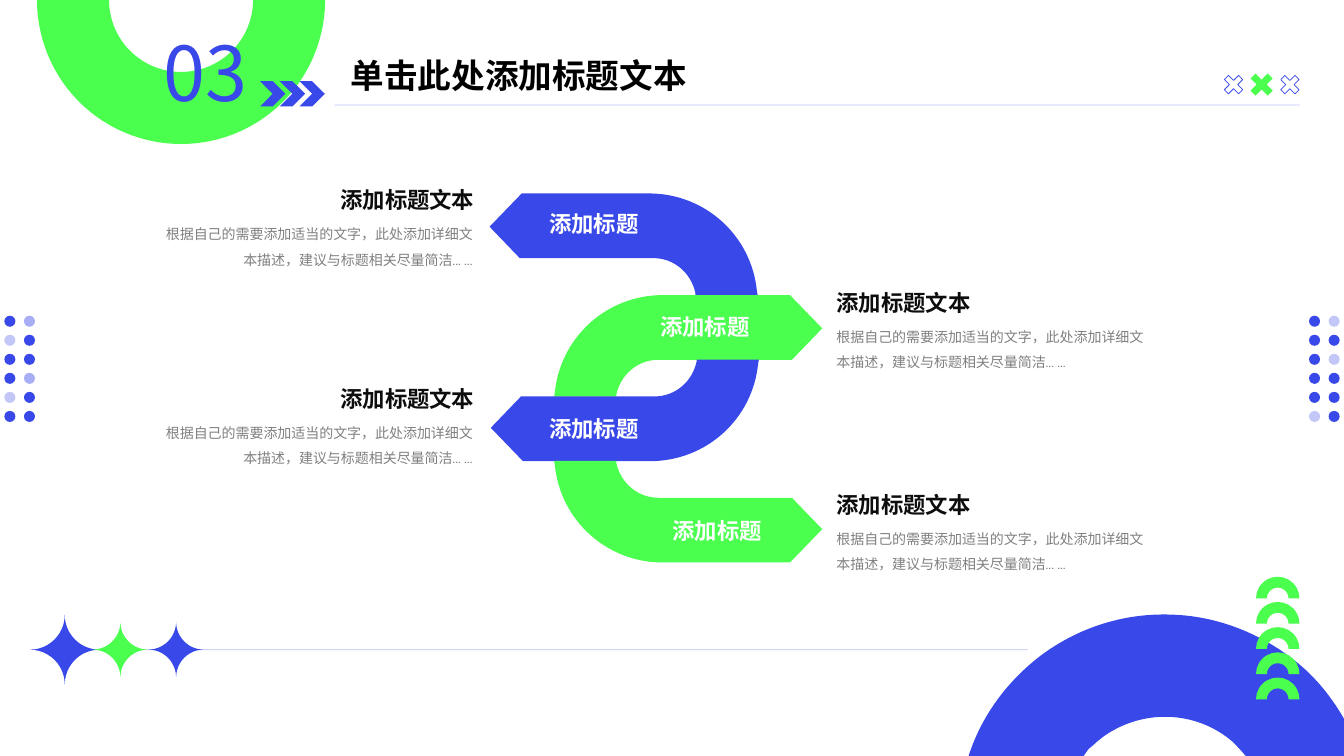
from pptx import Presentation
from pptx.util import Pt
from pptx.dml.color import RGBColor
from pptx.enum import shapes, text
from pptx.oxml.ns import qn
from lxml import etree

BLUE = RGBColor(0x39, 0x48, 0xE9)
GREEN = RGBColor(0x4A, 0xFF, 0x4E)
BLACK = RGBColor(0, 0, 0)
INK = RGBColor(0x0D, 0x0D, 0x0D)
GREY = RGBColor(0x80, 0x80, 0x80)
WHITE = RGBColor(0xFF, 0xFF, 0xFF)
SC, JP, CABIN = "Noto Sans CJK SC", "Noto Sans CJK JP", "Cabin"

# Content
NUMBER = "03"
TITLE = "单击此处添加标题文本"
BODY = "根据自己的需要添加适当的文字，此处添加详细文本描述，建议与标题相关尽量简洁... ..."
# label, heading, side, label (x, y), heading y, arrow tip x, outer edge y, vertical flip
STEPS = [
    ("添加标题", "添加标题文本", "left", (385.2, 146.9), 129.6, 349.7, 138.2, 1),
    ("添加标题", "添加标题文本", "right", (464.6, 220), 203, 587.3, 210.8, 1),
    ("添加标题", "添加标题文本", "left", (385.2, 293), 271.6, 350.6, 329.4, -1),
    ("添加标题", "添加标题文本", "right", (473.4, 365.8), 347, 587.3, 401.8, -1),
]
# Opacity of the dot pairs, row by row, and left edge of each block
DOTS = [
    (3.1, [(100, 44), (30, 100), (100, 100), (100, 44), (30, 100), (100, 100)]),
    (935, [(100, 30), (100, 100), (100, 30), (100, 100), (100, 100), (30, 100)]),
]
PLUSES = [(873.9, 53.3, 14.4, None), (892.5, 51.8, 17.3, GREEN), (914.2, 53.3, 14.4, None)]
STARS = [(21.4, 439.2, 49.7, BLUE), (106, 444.2, 39.6, BLUE), (66.2, 444.2, 39.6, GREEN)]
RULES = [(239, 928.4, 75), (34.6, 734, 464.1)]

# Outlines: one point is a straight step, three points are a curve
BAND = [
    [(23, 0)], [(113.8, 0)],
    [(154, 0), (187.2, 30.2), (191, 70)],
    [(191.5, 72.5)], [(147, 72.5)], [(147, 71)],
    [(144, 57), (132, 46.2), (117, 46.2)],
    [(21.6, 46.2)], [(0, 23.8)],
]
CORNER_RING = [
    [(836.6, 439)],
    [(869, 439.9), (901.4, 452.2), (928.1, 474.5)],
    [(941, 485.3), (951.8, 499), (960, 513.4)],
    [(960, 540)], [(889.9, 540)], [(889.2, 539.3)],
    [(886.3, 535.7), (883.4, 532.8), (880.6, 529.9)],
    [(853.9, 506.9), (815, 506.2), (787, 527)],
    [(784.1, 529.2), (781.2, 532.1), (777.6, 535)],
    [(774, 540)], [(691.9, 540)], [(692.6, 537.8)],
    [(702, 510.5), (719.3, 486.7), (743.8, 468)],
    [(771.1, 447.8), (803.5, 437.8), (836.6, 439)],
]

prs = Presentation()
prs.slide_width, prs.slide_height = Pt(960), Pt(540)
s = prs.slides.add_slide(prs.slide_layouts[6])


def set_alpha(fill_parent, percent):
    color = fill_parent.find(".//" + qn("a:srgbClr"))
    etree.SubElement(color, qn("a:alpha")).set("val", str(percent * 1000))


def paint(sp, color):
    sp.shadow.inherit = False
    if color is None:
        sp.fill.background()
        sp.line.color.rgb = BLUE
        sp.line.width = Pt(0.5)
    else:
        sp.fill.solid()
        sp.fill.fore_color.rgb = color
        sp.line.fill.background()


def preset(kind, x, y, size, color, rotation=0, adj=None):
    sp = s.shapes.add_shape(kind, Pt(x), Pt(y), Pt(size), Pt(size))
    paint(sp, color)
    sp.rotation = rotation
    if adj is not None:
        sp.adjustments[0] = adj
    return sp


def outline(steps, color):
    points = [(x * 100, y * 100) for step in steps for x, y in step]
    builder = s.shapes.build_freeform(*points[0], scale=127.0)
    builder.add_line_segments(points[1:], close=True)
    sp = builder.convert_to_shape()
    paint(sp, color)
    # Merge three straight steps into one curve
    segments = iter(list(sp._element.iter(qn("a:lnTo"))))
    for step in steps[1:]:
        parts = [next(segments) for _ in step]
        if len(parts) == 3:
            curve = etree.Element(qn("a:cubicBezTo"))
            parts[0].addprevious(curve)
            for part in parts:
                curve.append(part[0])
                part.getparent().remove(part)


def write(words, x, y, w, h, size, color, font, bold=False, wrap=True, right=False, spacing=None):
    tf = s.shapes.add_textbox(Pt(x), Pt(y), Pt(w), Pt(h)).text_frame
    tf.word_wrap = wrap
    tf.auto_size = text.MSO_AUTO_SIZE.SHAPE_TO_FIT_TEXT
    p = tf.paragraphs[0]
    p.alignment = text.PP_ALIGN.RIGHT if right else text.PP_ALIGN.LEFT
    if spacing:
        p.line_spacing = spacing
    r = p.add_run()
    r.text = words
    for name, value in {"size": Pt(size), "bold": bold, "name": font}.items():
        setattr(r.font, name, value)
    r.font.color.rgb = color
    east_asian = SC if font == CABIN else font
    etree.SubElement(r.font._element, qn("a:ea")).set("typeface", east_asian)


# Large corner rings
shape = shapes.MSO_SHAPE
outline(CORNER_RING, BLUE)
preset(shape.BLOCK_ARC, 26.4, -103, 205.8, GREEN, rotation=180)

# Small arcs and chevrons
for i in range(5):
    preset(shape.BLOCK_ARC, 897.2, 412 + 18 * i, 31, GREEN)
for i in range(3):
    preset(shape.CHEVRON, 185.8 + 14.1 * i, 58, 18, BLUE)

# Dot blocks at both edges
for left, rows in DOTS:
    for i, pair in enumerate(rows):
        for j, opacity in enumerate(pair):
            dot = preset(shape.OVAL, left + 14 * j, 225.5 + 13.6 * i, 7.9, BLUE)
            if opacity < 100:
                set_alpha(dot.fill._xPr, opacity)

# Crosses, rules and stars
for x, y, size, color in PLUSES:
    preset(shape.CROSS, x, y, size, color, rotation=45, adj=0.356)
for x1, x2, y in RULES:
    rule = s.shapes.add_connector(shapes.MSO_CONNECTOR.STRAIGHT, Pt(x1), Pt(y), Pt(x2), Pt(y))
    rule.line.color.rgb = BLUE
    rule.line.width = Pt(0.5)
    set_alpha(rule.line._ln, 33)
    etree.SubElement(rule._element.spPr, qn("a:effectLst"))
for x, y, size, color in STARS:
    preset(shape.PLAQUE, x, y, size, color, adj=0.5)

# Heading
write(NUMBER, 109.7, 15.1, 79.2, 72.7, 54, BLUE, SC, wrap=False)
write(TITLE, 243.4, 35.6, 285.8, 36, 24, BLACK, CABIN, bold=True)

# Ribbons with their labels; the band is measured from its arrow tip
for label, _, side, (x, y), _, tip, edge, flip in STEPS:
    turn = 1 if side == "left" else -1
    outline([[(tip + turn * px, edge + flip * py) for px, py in step] for step in BAND],
            BLUE if side == "left" else GREEN)
    write(label, x, y, 78.4, 26.6, 16, WHITE, JP, bold=True, wrap=False)

# Descriptions
for _, heading, side, _, y, *_ in STEPS:
    on_left = side == "left"
    write(BODY, 111.4 if on_left else 590.4, y + 22.1, 233.3, 41.8, 10, GREY, CABIN,
          right=on_left, spacing=1.5)
    write(heading, 170.3 if on_left else 590.4, y, 175.7, 26.6, 16, INK, CABIN,
          bold=True, right=on_left)

prs.save("out.pptx")
